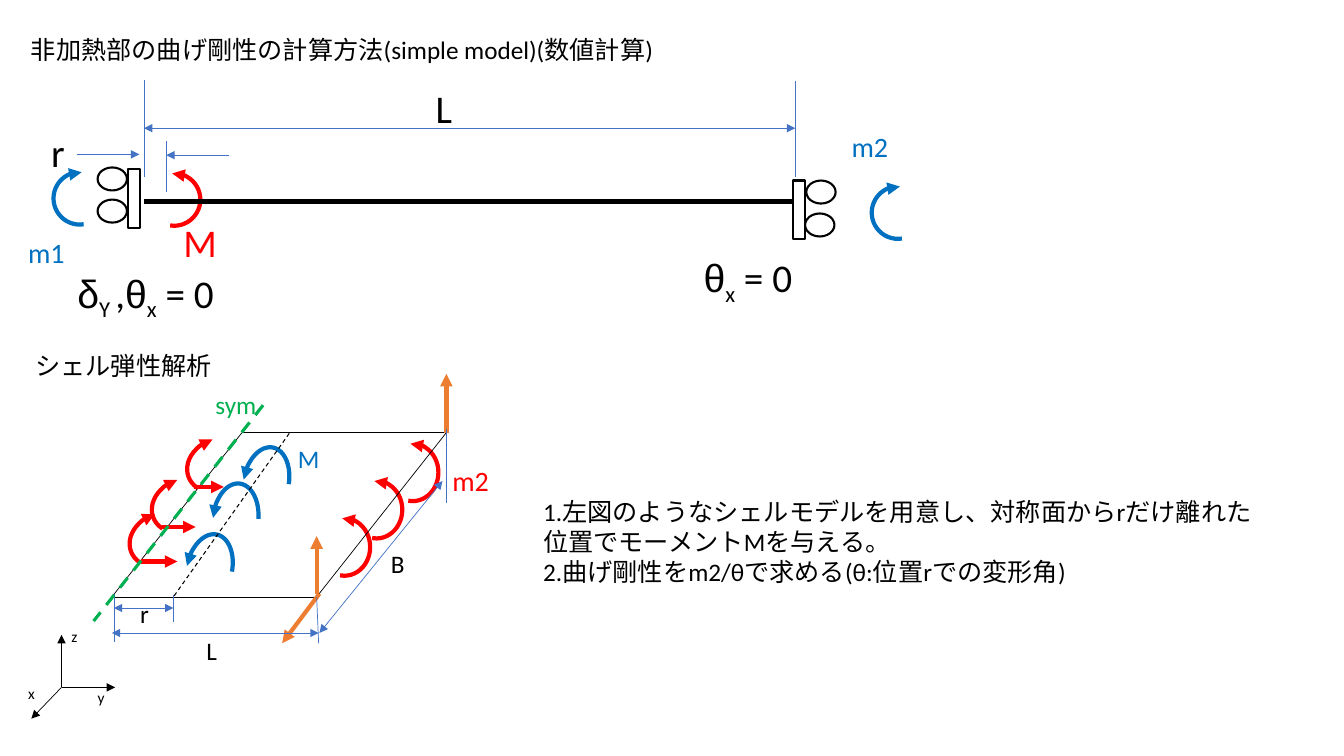
from lxml import etree
from pptx import Presentation
from pptx.dml.color import RGBColor
from pptx.enum import dml, shapes, text
from pptx.oxml.ns import qn
from pptx.util import Cm, Pt

BLACK, WHITE, RED, BLUE = "000000", "FFFFFF", "FF0000", "0070C0"
GREEN, ORANGE, THIN_BLUE = "00B050", "ED7D31", "4472C4"


def colour(hex_code):
    return RGBColor.from_string(hex_code)


def outline(shape, hex_code, width, ends="", dashed=False):
    """Style a line; ends names the tips with a triangle: headEnd, tailEnd."""
    shape.line.color.rgb = colour(hex_code)
    shape.line.width = Pt(width)
    if dashed:
        shape.line.dash_style = dml.MSO_LINE.DASH
    properties = shape._element.spPr
    for end in ends.split():
        etree.SubElement(properties.find(qn("a:ln")), qn(f"a:{end}"), type="triangle")
    etree.SubElement(properties, qn("a:effectLst"))


deck = Presentation()
deck.slide_width, deck.slide_height = Cm(33.87), Cm(19.05)
slide = deck.slides.add_slide(deck.slide_layouts[6])
beam = slide.shapes.add_group_shape()
axes = slide.shapes.add_group_shape()
shell = slide.shapes.add_group_shape()

# Moment arcs: width, height, start angle setting, mirrored, then left, top, rotation
moments = [
    (beam, RED, 1.32, 1.32, 48.79, True, [(3.73, 4.37, 0)]),
    (beam, BLUE, 1.32, 1.32, 48.79, False, [(1.35, 4.34, 0), (21.97, 4.7, 0)]),
    (shell, RED, 1.68, 1.35, 92.37, False,
     [(4.7, 11.05, 340), (3.25, 12.93, 340), (3.81, 12.07, 340)]),
    (shell, RED, 1.3, 1.45, 48.79, True,
     [(8.03, 13.06, 0), (8.84, 12.12, 0), (9.75, 11.18, 0)]),
    (shell, BLUE, 1.78, 1.14, 57.38, True,
     [(4.39, 13.77, 282.2), (5.82, 11.58, 280.8), (5.05, 12.5, 276.2)]),
]
for group, hex_code, width, height, start, mirrored, places in moments:
    for left, top, rotation in places:
        moment = group.shapes.add_shape(
            shapes.MSO_SHAPE.ARC, Cm(left), Cm(top), Cm(width), Cm(height))
        moment.adjustments[0], moment.adjustments[1] = start, 164.53
        moment.rotation = rotation
        if mirrored:
            moment._element.spPr.find(qn("a:xfrm")).set("flipH", "1")
        moment.fill.background()
        outline(moment, hex_code, 3, "tailEnd")

# Straight lines: colour, width, arrow tips, dashed, then x1, y1, x2, y2
both = "headEnd tailEnd"
lines = [
    (beam, BLACK, 3, "", False, [(3.63, 5.08, 20.04, 5.08)]),
    (beam, THIN_BLUE, 0.5, "", False, [
        (3.63, 2.01, 3.63, 4.45), (20.04, 2.03, 20.04, 4.47), (4.19, 3.56, 4.19, 4.85)]),
    (beam, THIN_BLUE, 0.5, both, False, [(3.63, 3.23, 20.04, 3.23)]),
    (beam, THIN_BLUE, 0.5, "tailEnd", False, [
        (1.93, 3.89, 3.51, 3.89), (5.77, 3.91, 4.19, 3.91)]),
    (axes, BLACK, 0.5, "tailEnd", False, [
        (1.55, 17.32, 0.79, 18.11), (1.55, 17.32, 2.9, 17.32), (1.55, 17.32, 1.55, 16)]),
    (shell, BLACK, 0.5, "", False, [
        (6.1, 10.9, 2.82, 15.04), (11.25, 10.9, 7.98, 15.04),
        (6.1, 10.9, 11.25, 10.9), (2.82, 15.04, 7.98, 15.04)]),
    (shell, RED, 3, "tailEnd", False, [
        (3.56, 14.15, 4.47, 14.15), (4.88, 12.27, 5.64, 12.27), (4.09, 13.28, 4.93, 13.28)]),
    (shell, ORANGE, 3, "tailEnd", False, [
        (11.25, 10.9, 11.25, 9.42), (7.98, 14.96, 7.98, 13.51), (8.05, 14.96, 7.11, 16.21)]),
    (shell, BLACK, 0.75, "", True, [(7.29, 10.92, 4.37, 15.04)]),
    (shell, THIN_BLUE, 0.5, "", False, [
        (2.87, 14.96, 2.87, 16.18), (7.98, 15.04, 8.03, 16.21),
        (4.37, 14.99, 4.37, 15.67), (11.25, 10.8, 11.25, 12.67)]),
    (shell, THIN_BLUE, 0.5, both, False, [
        (2.82, 15.95, 8.03, 15.95), (2.87, 15.32, 4.37, 15.32), (8.05, 15.95, 11.15, 12.12)]),
    (shell, GREEN, 2.25, "", True, [(6.63, 10.21, 2.36, 15.65)]),
]
for group, hex_code, width, ends, dashed, places in lines:
    for place in places:
        line = group.shapes.add_connector(
            shapes.MSO_CONNECTOR.STRAIGHT, *(Cm(value) for value in place))
        outline(line, hex_code, width, ends, dashed)

# Roller supports at both ends of the beam
supports = [
    (shapes.MSO_SHAPE.RECTANGLE, 0.3, 1.47, [(3.23, 4.27), (19.99, 4.55)]),
    (shapes.MSO_SHAPE.OVAL, 0.74, 0.58,
     [(2.46, 5.03), (2.46, 4.22), (20.32, 4.55), (20.29, 5.38)]),
]
for kind, width, height, places in supports:
    for left, top in places:
        support = beam.shapes.add_shape(kind, Cm(left), Cm(top), Cm(width), Cm(height))
        support.fill.solid()
        support.fill.fore_color.rgb = colour(WHITE)
        outline(support, BLACK, 1.5)

# Texts: left, top, width, height, wrapped, size, colour, words; bars part the runs
notes = ("1.左図のようなシェルモデルを用意し、対称面からrだけ離れた\n"
         "位置でモーメントMを与える。\n"
         "2.曲げ剛性をm2/θで求める(θ:位置rでの変形角)")
labels = [
    (slide, 0.53, 0.74, 16.36, 1.02, True, 18, BLACK,
     "非加熱部の曲げ剛性の計算方法(simple model)(数値計算)"),
    (slide, 0.64, 8.71, 5, 1.02, False, 18, BLACK, "シェル弾性解析"),
    (slide, 13.44, 12.37, 18.54, 2.57, True, 18, BLACK, notes),
    (beam, 10.08, 2.01, 2.21, 1.45, True, 28, BLACK, "L"),
    (beam, 1.7, 6.65, 4.47, 1.45, True, 28, BLACK, "δ|Y |,|θ|x| = 0"),
    (beam, 17.48, 6.27, 6.4, 1.45, True, 28, BLACK, "θ|x| = 0"),
    (beam, 1.04, 3.12, 1.32, 1.45, True, 28, BLACK, "r"),
    (beam, 4.37, 5.38, 1.32, 1.45, True, 28, RED, "M"),
    (beam, 0.46, 5.82, 2.29, 1.12, True, 20, BLUE, "m1"),
    (beam, 21.21, 3.15, 2.29, 1.12, True, 20, BLUE, "m2"),
    (axes, 0.46, 17.12, 0.76, 0.74, True, 11, BLACK, "x"),
    (axes, 2.21, 17.22, 0.76, 0.74, True, 11, BLACK, "y"),
    (axes, 1.55, 15.67, 0.76, 0.74, True, 11, BLACK, "z"),
    (shell, 7.26, 11.05, 1.14, 1.12, False, 18, BLUE, "M"),
    (shell, 4.95, 15.88, 0.79, 1.02, False, 18, BLACK, "L"),
    (shell, 3.28, 14.96, 0.74, 1.02, False, 18, BLACK, "r"),
    (shell, 11.15, 11.56, 1.55, 1.12, True, 20, RED, "m2"),
    (shell, 5.18, 9.68, 1.55, 1.02, False, 18, GREEN, "sym"),
    (shell, 9.6, 13.69, 0.86, 1.02, False, 18, BLACK, "B"),
]
for owner, left, top, width, height, wrapped, size, hex_code, words in labels:
    label = owner.shapes.add_textbox(Cm(left), Cm(top), Cm(width), Cm(height)).text_frame
    label.word_wrap = wrapped
    label.auto_size = text.MSO_AUTO_SIZE.SHAPE_TO_FIT_TEXT
    for number, sentence in enumerate(words.split("\n")):
        paragraph = label.add_paragraph() if number else label.paragraphs[0]
        paragraph.font.name = "Calibri"
        paragraph.font.size = Pt(size)
        paragraph.font.color.rgb = colour(hex_code)
        if size == 28 and words == "L":
            paragraph.alignment = text.PP_ALIGN.CENTER
        parts = sentence.split("|")
        for part in parts:
            run = paragraph.add_run()
            run.text = part
            if part in ("δ", "θ"):
                run.font.name = "Arial"
            elif len(parts) > 1 and part in ("Y ", "x"):
                run._r.get_or_add_rPr().set("baseline", "-25000")

deck.save("out.pptx")
